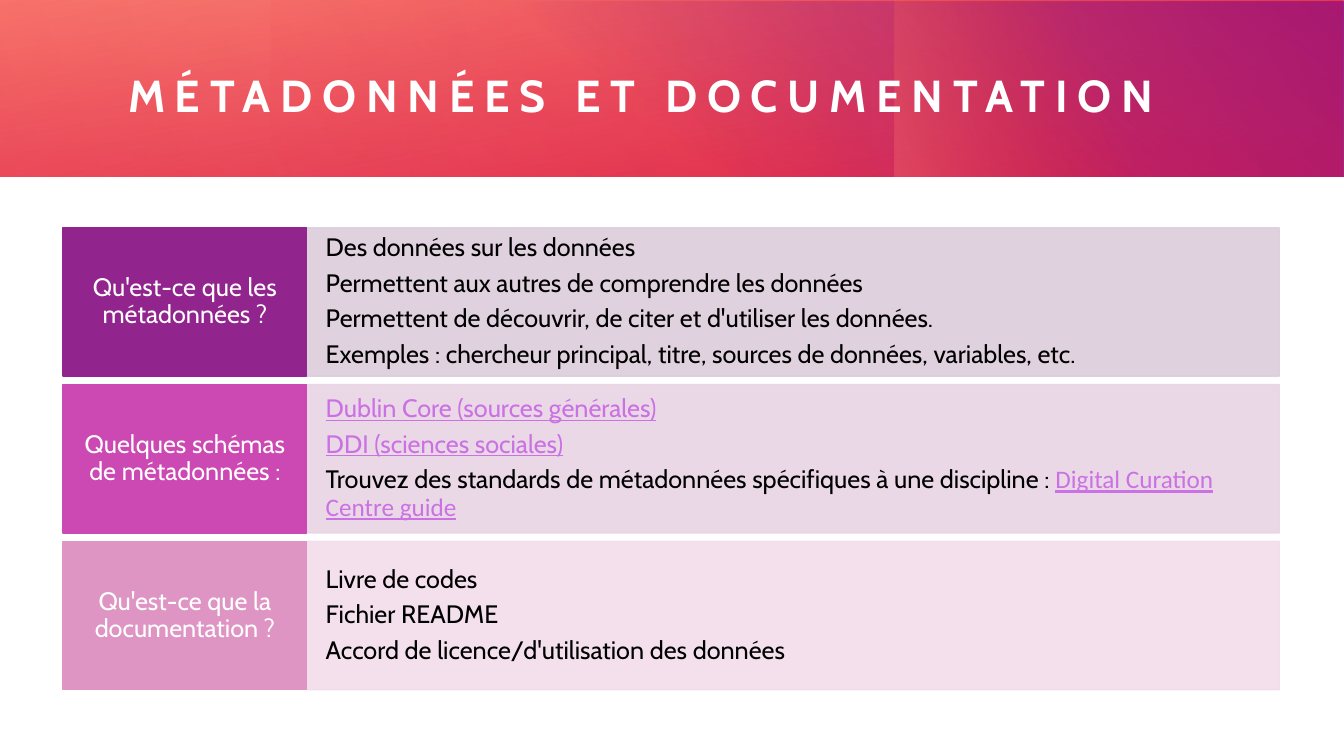
from dataclasses import dataclass

import pptx
import pptx.dml.color
import pptx.enum.shapes
import pptx.enum.text
import pptx.oxml
import pptx.oxml.ns
import pptx.util
from pptx.util import Cm, Pt


@dataclass(frozen=True)
class Theme:
    font: str = "Cabin"
    link_font: str = "Calibri"
    title_size: int = 32
    body_size: int = 18
    white: str = "FFFFFF"
    black: str = "000000"
    link: str = "CA71E4"
    red: str = "DA002F"
    orange: str = "FE4A00"
    salmon: str = "FF907A"
    purple: str = "92248E"
    label_fills: tuple = ("92248E", "CC48B2", "DE95C4")
    body_fills: tuple = ("DCCDDB", "E9D4E4", "F2DDEA")


THEME = Theme()
SLIDE_WIDTH, BANNER_HEIGHT = 33.87, 4.45
ROW_TOP, ROW_HEIGHT, ROW_PITCH = 5.74, 3.74, 3.95
LABEL_LEFT, LABEL_WIDTH, BODY_WIDTH = 1.59, 6.14, 24.51
BODY_OPACITY = 90

# Each paragraph is a list of (text, style) runs.
ROWS = [
    ("Qu'est-ce que les métadonnées ?", [
        [("Des données sur les données", "plain")],
        [("Permettent aux autres de comprendre les données", "plain")],
        [("Permettent de découvrir, de citer et d'utiliser les données.", "plain")],
        [("Exemples : chercheur principal, titre, sources de données, "
          "variables, etc.", "plain")],
    ]),
    ("Quelques schémas de métadonnées :", [
        [("Dublin Core (sources générales)", "link")],
        [("DDI (sciences sociales)", "link")],
        [("Trouvez des standards de métadonnées spécifiques à une discipline : ",
          "plain"),
         ("Digital Curation Centre guide", "guide")],
    ]),
    ("Qu'est-ce que la documentation ?", [
        [("Livre de codes", "plain")],
        [("Fichier README", "plain")],
        [("Accord de licence/d'utilisation des données", "plain")],
    ]),
]


def rgb(color):
    return pptx.dml.color.RGBColor.from_string(color)


def add_rectangle(slide, left, top, width, height):
    rectangle = slide.shapes.add_shape(
        pptx.enum.shapes.MSO_SHAPE.RECTANGLE,
        Cm(left), Cm(top), Cm(width), Cm(height))
    rectangle.shadow.inherit = False
    return rectangle


def set_opacity(color_element, percent):
    alpha = pptx.oxml.parse_xml(
        f'<a:alpha {pptx.oxml.ns.nsdecls("a")} val="{percent * 1000}"/>')
    color_element.append(alpha)


def add_gradient_layer(slide, box, stops, angle, rotation=0):
    """Stops are (position, colour, opacity), in percent; angle is clockwise."""
    layer = add_rectangle(slide, *box)
    layer.rotation = rotation
    layer.line.fill.background()
    layer.fill.background()
    stop_xml = "".join(
        f'<a:gs pos="{position * 1000}"><a:srgbClr val="{color}">'
        f'<a:alpha val="{opacity * 1000}"/></a:srgbClr></a:gs>'
        for position, color, opacity in stops)
    gradient = pptx.oxml.parse_xml(
        f'<a:gradFill {pptx.oxml.ns.nsdecls("a")} rotWithShape="1">'
        f'<a:gsLst>{stop_xml}</a:gsLst>'
        f'<a:lin ang="{angle * 60000}" scaled="0"/></a:gradFill>')
    properties = layer.fill._xPr
    properties.replace(properties.find(pptx.oxml.ns.qn("a:noFill")), gradient)


def add_run(paragraph, text, color, size, font=THEME.font, underline=False):
    run = paragraph.add_run()
    run.text = text
    run.font.name = font
    run.font.size = Pt(size)
    run.font.color.rgb = rgb(color)
    if underline:
        run.font.underline = True
    return run


def set_frame(frame, side, vertical):
    frame.word_wrap = True
    frame.vertical_anchor = pptx.enum.text.MSO_ANCHOR.MIDDLE
    frame.margin_left = frame.margin_right = Cm(side)
    frame.margin_top = frame.margin_bottom = Cm(vertical)


def add_panel(slide, box, color, paragraphs, styles, margins, alignment,
              opacity=100):
    panel = add_rectangle(slide, *box)
    panel.fill.solid()
    panel.fill.fore_color.rgb = rgb(color)
    panel.line.color.rgb = rgb(color)
    panel.line.width = Pt(1)
    if opacity < 100:
        for color_element in panel._element.spPr.iter(pptx.oxml.ns.qn("a:srgbClr")):
            set_opacity(color_element, opacity)
    frame = panel.text_frame
    set_frame(frame, *margins)
    for index, runs in enumerate(paragraphs):
        paragraph = frame.add_paragraph() if index else frame.paragraphs[0]
        paragraph.alignment = alignment
        paragraph.line_spacing = 0.9
        paragraph.space_after = Pt(6)
        for text, style in runs:
            add_run(paragraph, text, size=THEME.body_size, **styles[style])


def add_banner(slide):
    t = THEME
    add_gradient_layer(slide, (0, 0, SLIDE_WIDTH, BANNER_HEIGHT),
                       [(0, t.red, 83), (100, t.salmon, 100)], 260)
    add_gradient_layer(slide, (12.22, 0.03, 21.65, 4.42),
                       [(22, t.purple, 0), (99, t.purple, 100)], 310)
    add_gradient_layer(slide, (25.07, -2.52, BANNER_HEIGHT, 9.5),
                       [(45, t.orange, 0), (99, t.salmon, 33)], 250, 270)
    add_gradient_layer(slide, (6.81, 0, 27.03, BANNER_HEIGHT),
                       [(0, t.red, 30), (99, t.red, 0)], 330, 180)
    add_gradient_layer(slide, (0, 0, 21.97, BANNER_HEIGHT),
                       [(0, t.red, 21), (99, t.red, 0)], 340)


def add_title(slide, text):
    title = slide.shapes.add_textbox(Cm(3.23), Cm(1.04), Cm(28.83), Cm(2.69))
    set_frame(title.text_frame, 0, 0)
    run = add_run(title.text_frame.paragraphs[0], text, THEME.white,
                  THEME.title_size)
    run.font.bold = True
    run.font._element.set("spc", "700")


def add_row(slide, index, question, answers):
    top = ROW_TOP + index * ROW_PITCH
    align = pptx.enum.text.PP_ALIGN
    body_styles = {
        "plain": {"color": THEME.black},
        "link": {"color": THEME.link, "underline": True},
        "guide": {"color": THEME.link, "underline": True,
                  "font": THEME.link_font},
    }
    add_panel(slide, (LABEL_LEFT + LABEL_WIDTH, top, BODY_WIDTH, ROW_HEIGHT),
              THEME.body_fills[index], answers, body_styles, (0.48, 0.94),
              align.LEFT, BODY_OPACITY)
    add_panel(slide, (LABEL_LEFT, top, LABEL_WIDTH, ROW_HEIGHT),
              THEME.label_fills[index], [[(question, "label")]],
              {"label": {"color": THEME.white}}, (0.33, 0.36), align.CENTER)


def main():
    presentation = pptx.Presentation()
    presentation.slide_width = Cm(SLIDE_WIDTH)
    presentation.slide_height = Cm(19.05)
    slide = presentation.slides.add_slide(presentation.slide_layouts[6])
    add_banner(slide)
    add_title(slide, "MÉTADONNÉES ET DOCUMENTATION")
    for index, (question, answers) in enumerate(ROWS):
        add_row(slide, index, question, answers)
    presentation.save("out.pptx")


if __name__ == "__main__":
    main()
